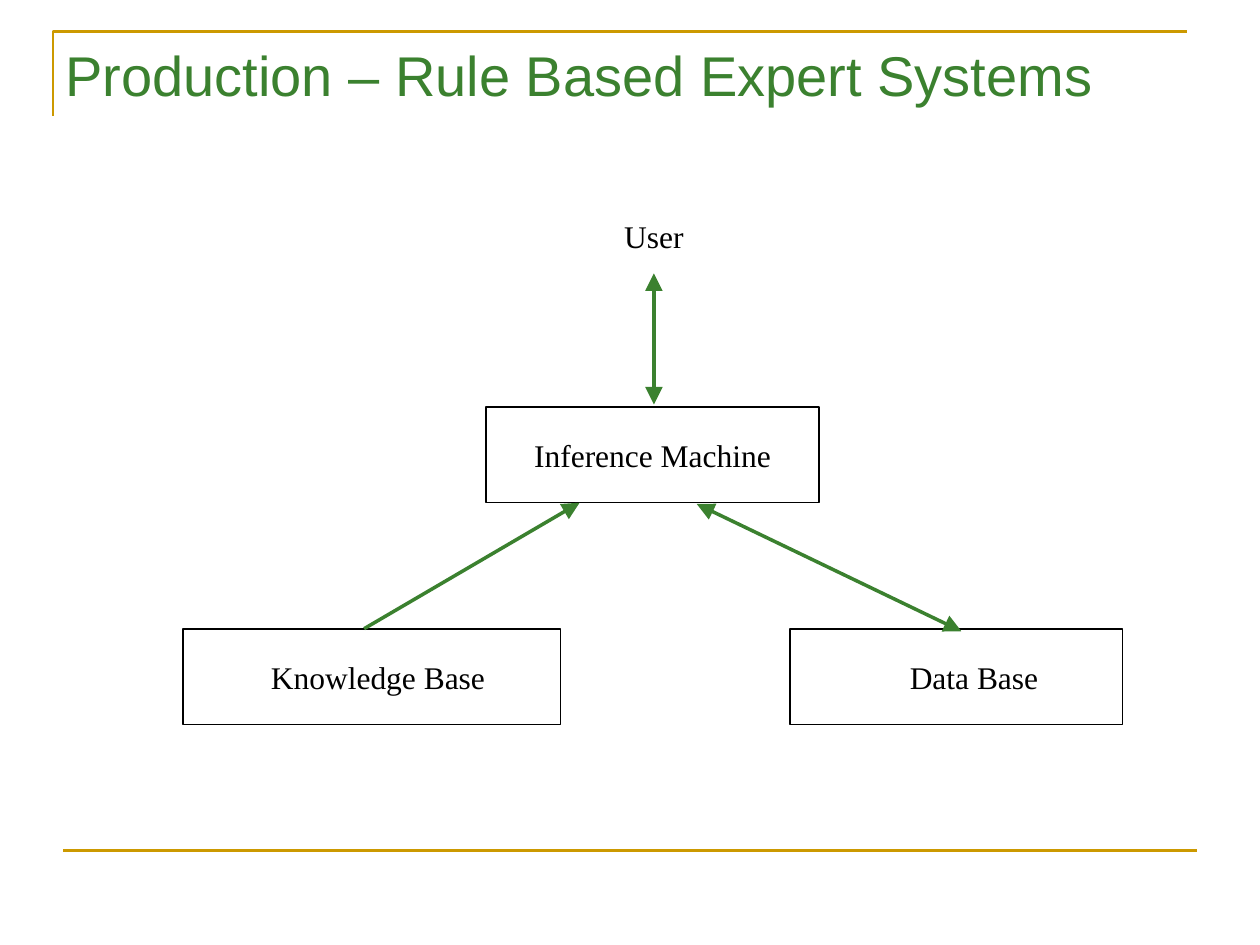
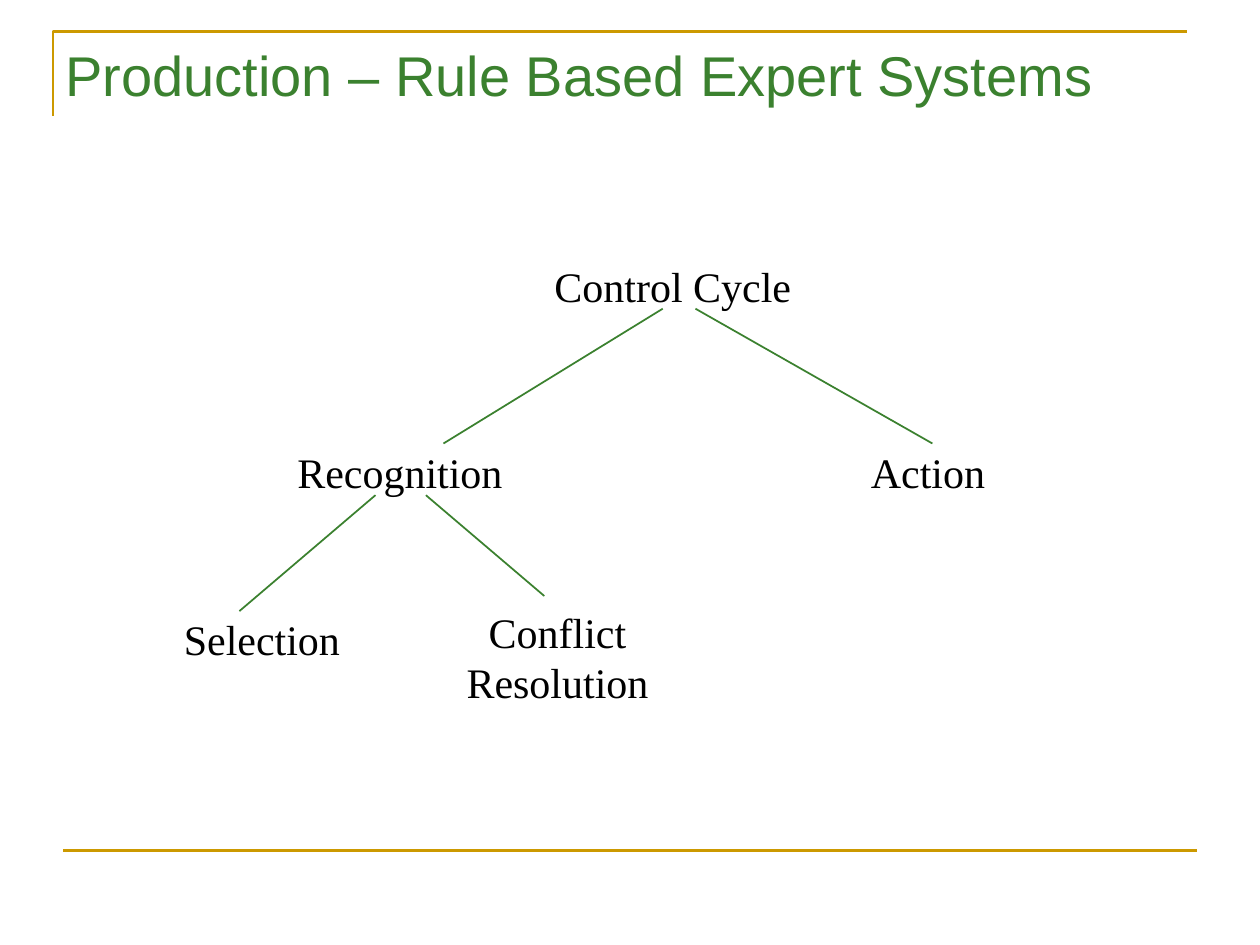
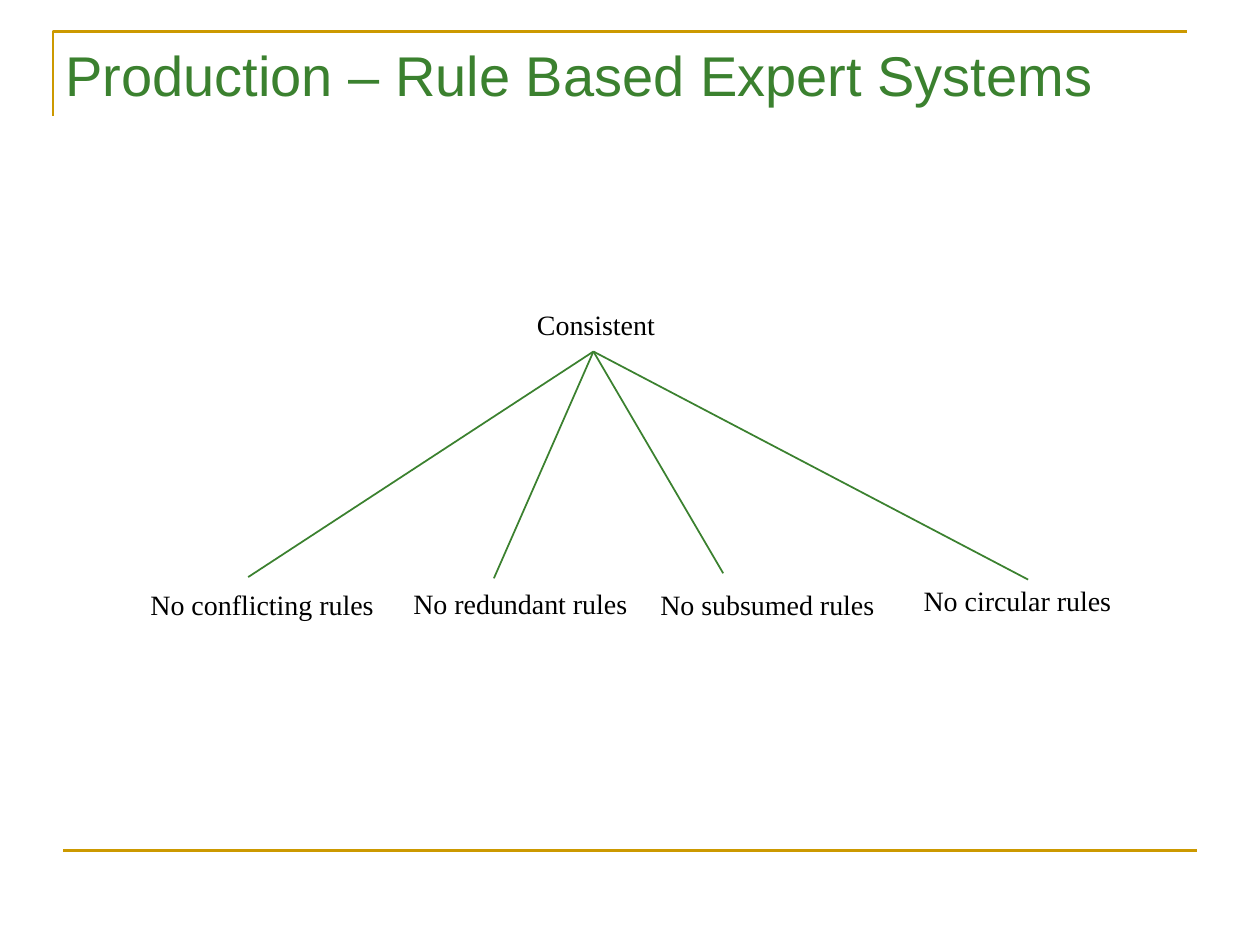
"""Build three diagram slides on production rule based expert systems."""
from dataclasses import dataclass

from lxml.etree import SubElement
from pptx import Presentation
from pptx.dml.color import RGBColor
from pptx.enum.shapes import MSO_CONNECTOR, MSO_SHAPE
from pptx.enum.text import MSO_ANCHOR, MSO_AUTO_SIZE, PP_ALIGN
from pptx.oxml.ns import qn
from pptx.util import Inches, Pt

WIDTH, HEIGHT = Inches(10), Inches(7.5)
COLUMNS, ROWS = 100, 75
TITLE = "Production – Rule Based Expert Systems"


@dataclass(frozen=True)
class Theme:
    """Colours, fonts, type sizes and line widths of the deck."""
    green: RGBColor = RGBColor(0x3B, 0x81, 0x2F)
    gold: RGBColor = RGBColor(0xCC, 0x99, 0x00)
    black: RGBColor = RGBColor(0, 0, 0)
    white: RGBColor = RGBColor(0xFF, 0xFF, 0xFF)
    title_font: str = "Arial"
    label_font: str = "Times New Roman"
    title_size: int = 32
    tree_size: int = 24
    box_size: int = 18
    leaf_size: int = 16
    thin: float = 1
    frame: float = 1.5
    thick: float = 2


THEME = Theme()


def column(count):
    """Return the length of a number of grid columns."""
    return round(WIDTH * count / COLUMNS)


def row(count):
    """Return the length of a number of grid rows."""
    return round(HEIGHT * count / ROWS)


def set_values(target, values):
    """Set each named value on the target."""
    for name, value in values.items():
        setattr(target, name, value)


def place(left, top, width, height):
    """Return position values for a rectangle given in grid units."""
    return {"left": column(left), "top": row(top),
            "width": column(width), "height": row(height)}


def write(frame, text, size, font, color, align=PP_ALIGN.CENTER):
    """Write formatted text, one paragraph for each line."""
    set_values(frame, {"text": text, "vertical_anchor": MSO_ANCHOR.MIDDLE,
                       "auto_size": MSO_AUTO_SIZE.NONE})
    for para in frame.paragraphs:
        para.alignment = align
        set_values(para.font, {"size": Pt(size), "name": font})
        para.font.color.rgb = color


def add_line(slide, start, end, color=THEME.green, weight=THEME.thin, arrows=()):
    """Draw a straight line with arrowheads at the named ends."""
    line = slide.shapes.add_connector(
        MSO_CONNECTOR.STRAIGHT, column(start[0]), row(start[1]),
        column(end[0]), row(end[1]))
    line.line.color.rgb = color
    line.line.width = Pt(weight)
    outline = line.line._get_or_add_ln()
    for arrow in arrows:
        SubElement(outline, qn(f"a:{arrow}"), type="triangle", w="lg", len="lg")
    SubElement(line._element.spPr, qn("a:effectLst"))
    return line


def add_corner(slide, points):
    """Draw the open gold outline beside and above the title."""
    first, *others = [(column(x), row(y)) for x, y in points]
    builder = slide.shapes.build_freeform(*first)
    corner = builder.add_line_segments(others, close=False).convert_to_shape()
    corner.shadow.inherit = False
    corner.fill.background()
    corner.line.color.rgb = THEME.gold
    corner.line.width = Pt(THEME.frame)
    return corner


def prepare_layout(layout):
    """Keep only the title placeholder of the layout and move it."""
    for holder in list(layout.placeholders):
        if holder.placeholder_format.idx:
            holder.element.getparent().remove(holder.element)
    set_values(layout.placeholders[0], place(4.2, 2.5, 85, 6.7))


def add_frame(slide):
    """Put the gold lines on the layout that the slides share."""
    corner = add_corner(slide, [(4.2, 9.2), (4.2, 2.5), (94.2, 2.5)])
    footer = add_line(slide, (5, 67.5), (95, 67.5), THEME.gold, THEME.frame)
    for part in (corner, footer):
        slide.slide_layout.shapes.element.append(part.element)


def add_page(deck, layout):
    """Add a slide with the common title."""
    page = deck.slides.add_slide(layout)
    write(page.shapes.title.text_frame, TITLE, THEME.title_size,
          THEME.title_font, THEME.green, PP_ALIGN.LEFT)
    return page


def add_box(page, text, left, top, width, shift=0):
    """Draw an outlined box, its text shifted right by some columns."""
    area = place(left, top, width, 7.6)
    box = page.shapes.add_shape(MSO_SHAPE.RECTANGLE, *area.values())
    box.shadow.inherit = False
    box.fill.solid()
    box.fill.fore_color.rgb = THEME.white
    box.line.color.rgb = THEME.black
    box.line.width = Pt(THEME.thin)
    write(box.text_frame, text, THEME.box_size, THEME.label_font, THEME.black)
    box.text_frame.margin_left = column(1 + 2 * shift)


def add_label(page, text, center, middle, width, size):
    """Add a text label around a centre point, as high as its lines."""
    lines = text.count("\n") + 1
    height = lines * size / 6 + 1
    area = place(center - width / 2, middle - height / 2, width, height)
    label = page.shapes.add_textbox(*area.values())
    write(label.text_frame, text, size, THEME.label_font, THEME.black)
    label.text_frame.word_wrap = False


def add_labels(page, labels, size):
    """Add several labels of one type size."""
    for text, center, middle, width in labels:
        add_label(page, text, center, middle, width, size)


def draw_architecture(page):
    """Show how user, inference machine and bases are connected."""
    add_label(page, "User", 51.9, 18.7, 7.4, THEME.box_size)
    for box in (("Inference Machine", 38.6, 32.3, 26.4),
                ("Knowledge Base", 14.5, 49.9, 30, 0.5),
                ("Data Base", 62.7, 49.9, 26.4, 1.4)):
        add_box(page, *box)
    both = ("headEnd", "tailEnd")
    for start, end, arrows in (((28.9, 49.9), (46, 39.9), ("tailEnd",)),
                               ((55.3, 40), (76.3, 50.1), both),
                               ((51.9, 21.7), (51.9, 32.1), both)):
        add_line(page, start, end, weight=THEME.thick, arrows=arrows)


def draw_control_cycle(page):
    """Show the control cycle as a tree."""
    add_labels(page, (("Control Cycle", 53.4, 22.7, 20.8),
                      ("Recognition", 31.75, 37.4, 18.3),
                      ("Action", 73.65, 37.4, 11.1),
                      ("Selection", 20.8, 50.7, 14.4),
                      ("Conflict\nResolution", 44.25, 52.1, 16.5)),
               THEME.tree_size)
    for start, end in (((52.6, 24.5), (35.2, 35.2)),
                       ((55.2, 24.5), (74, 35.2)),
                       ((29.8, 39.3), (19, 48.5)),
                       ((33.8, 39.3), (43.2, 47.3))):
        add_line(page, start, end)


def draw_consistency(page):
    """Show the four conditions of a consistent rule base."""
    add_labels(page, (("Consistent", 47.3, 25.75, 11.4),
                      ("No conflicting rules", 20.8, 47.95, 19.8),
                      ("No redundant rules", 41.3, 47.85, 19),
                      ("No subsumed rules", 60.9, 47.95, 19),
                      ("No circular rules", 80.75, 47.65, 16.9)),
               THEME.leaf_size)
    for end in ((19.7, 45.8), (39.2, 45.9), (57.4, 45.5), (81.6, 46)):
        add_line(page, (47.1, 27.9), end)


def main():
    """Build and save the deck."""
    deck = Presentation()
    set_values(deck, {"slide_width": WIDTH, "slide_height": HEIGHT})
    layout = deck.slide_layouts.get_by_name("Title Only")
    prepare_layout(layout)
    pages = [add_page(deck, layout) for _ in range(3)]
    add_frame(pages[0])
    for draw, page in zip((draw_architecture, draw_control_cycle,
                           draw_consistency), pages):
        draw(page)
    deck.save("out.pptx")


if __name__ == "__main__":
    main()
